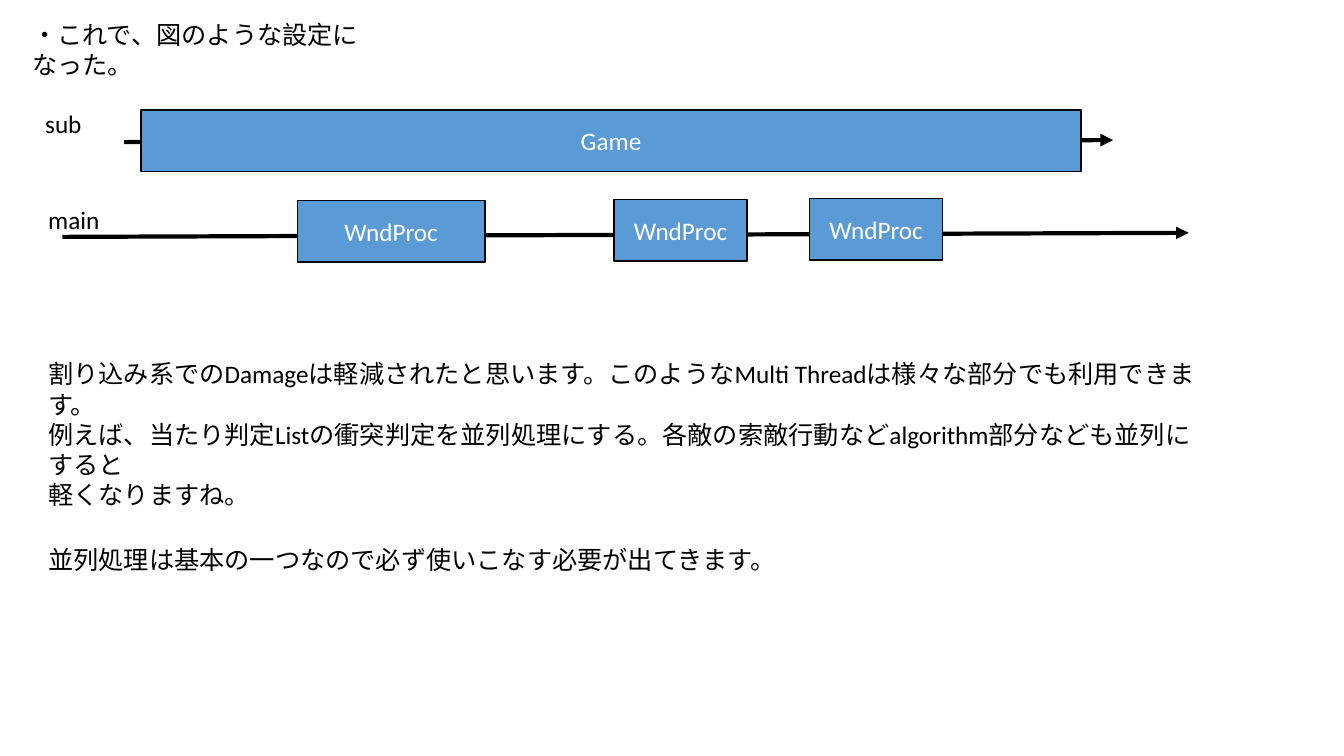
from lxml.etree import SubElement
from pptx import Presentation
from pptx.dml.color import RGBColor
from pptx.enum.shapes import MSO_CONNECTOR, MSO_SHAPE
from pptx.enum.text import MSO_ANCHOR, PP_ALIGN
from pptx.oxml.ns import qn
from pptx.util import Inches, Pt

BLACK = RGBColor(0, 0, 0)
WHITE = RGBColor(255, 255, 255)
BLUE = RGBColor(0x5B, 0x9B, 0xD5)

INTRO = ["・これで、図のような設定になった。"]
EXPLANATION = [
    "割り込み系でのDamageは軽減されたと思います。このようなMulti Threadは様々な部分でも利用できます。",
    "例えば、当たり判定Listの衝突判定を並列処理にする。各敵の索敵行動などalgorithm部分なども並列にすると",
    "軽くなりますね。",
]
CONCLUSION = ["並列処理は基本の一つなので必ず使いこなす必要が出てきます。"]
TASK_HEIGHT = 0.61


def write(frame, lines, color=BLACK, align=PP_ALIGN.LEFT, size=18, font="Calibri"):
    """Fill a text frame with one paragraph per line."""
    for index, line in enumerate(lines):
        para = frame.paragraphs[0] if index == 0 else frame.add_paragraph()
        para.alignment = align
        span = para.add_run()
        span.text = line
        span.font.size = Pt(size)
        span.font.name = font
        span.font.color.rgb = color


def add_text(page, box, lines, wrap=True):
    """Place a text box."""
    frame = page.shapes.add_textbox(*map(Inches, box)).text_frame
    frame.word_wrap = wrap
    write(frame, lines)


def add_time_arrow(page, start, end):
    """Draw the time axis of a thread."""
    arrow = page.shapes.add_connector(
        MSO_CONNECTOR.STRAIGHT, *map(Inches, start + end))
    arrow.line.color.rgb = BLACK
    arrow.line.width = Pt(3)
    SubElement(arrow.line._get_or_add_ln(), qn("a:tailEnd"), type="triangle")
    SubElement(arrow._element.spPr, qn("a:effectLst"))


def add_task(page, box, name):
    """Draw one task as a labelled rectangle."""
    task = page.shapes.add_shape(MSO_SHAPE.RECTANGLE, *map(Inches, box))
    task.shadow.inherit = False
    task.fill.solid()
    task.fill.fore_color.rgb = BLUE
    task.line.color.rgb = BLACK
    task.line.width = Pt(1)
    task.text_frame.word_wrap = True
    task.text_frame.vertical_anchor = MSO_ANCHOR.MIDDLE
    write(task.text_frame, [name], color=WHITE, align=PP_ALIGN.CENTER)


def add_thread(page, box, name, label_box, task_name, tasks):
    """Draw a thread whose axis runs from lower left to upper right of its box."""
    left, top, width, height = box
    add_time_arrow(page, (left, top + height), (left + width, top))
    for task_left, task_top, task_width in tasks:
        add_task(page, (left + task_left, top + task_top, task_width, TASK_HEIGHT),
                 task_name)
    label_left, label_top, label_width = label_box
    add_text(page, (left + label_left, top + label_top, label_width, 0.4), [name],
             wrap=False)


def main():
    """Build the slide and save the deck."""
    deck = Presentation()
    deck.slide_width, deck.slide_height = Inches(13.33), Inches(7.5)
    page = deck.slides.add_slide(deck.slide_layouts[6])
    add_text(page, (0.22, 0.14, 3.88, 0.4), INTRO)
    add_thread(page, (1.23, 1.39, 9.81, 0.02), "sub", (-0.88, -0.36, 0.57),
               "Game", [(0.17, -0.3, 9.32)])
    add_thread(page, (0.62, 2.31, 11.17, 0.04), "main", (-0.24, -0.33, 0.72),
               "WndProc",
               [(2.33, -0.32, 1.86), (5.47, -0.33, 1.32), (7.41, -0.34, 1.32)])
    add_text(page, (0.38, 3.51, 11.74, 1.31), EXPLANATION)
    add_text(page, (0.38, 5.35, 7.4, 0.4), CONCLUSION)
    deck.save("out.pptx")


if __name__ == "__main__":
    main()
